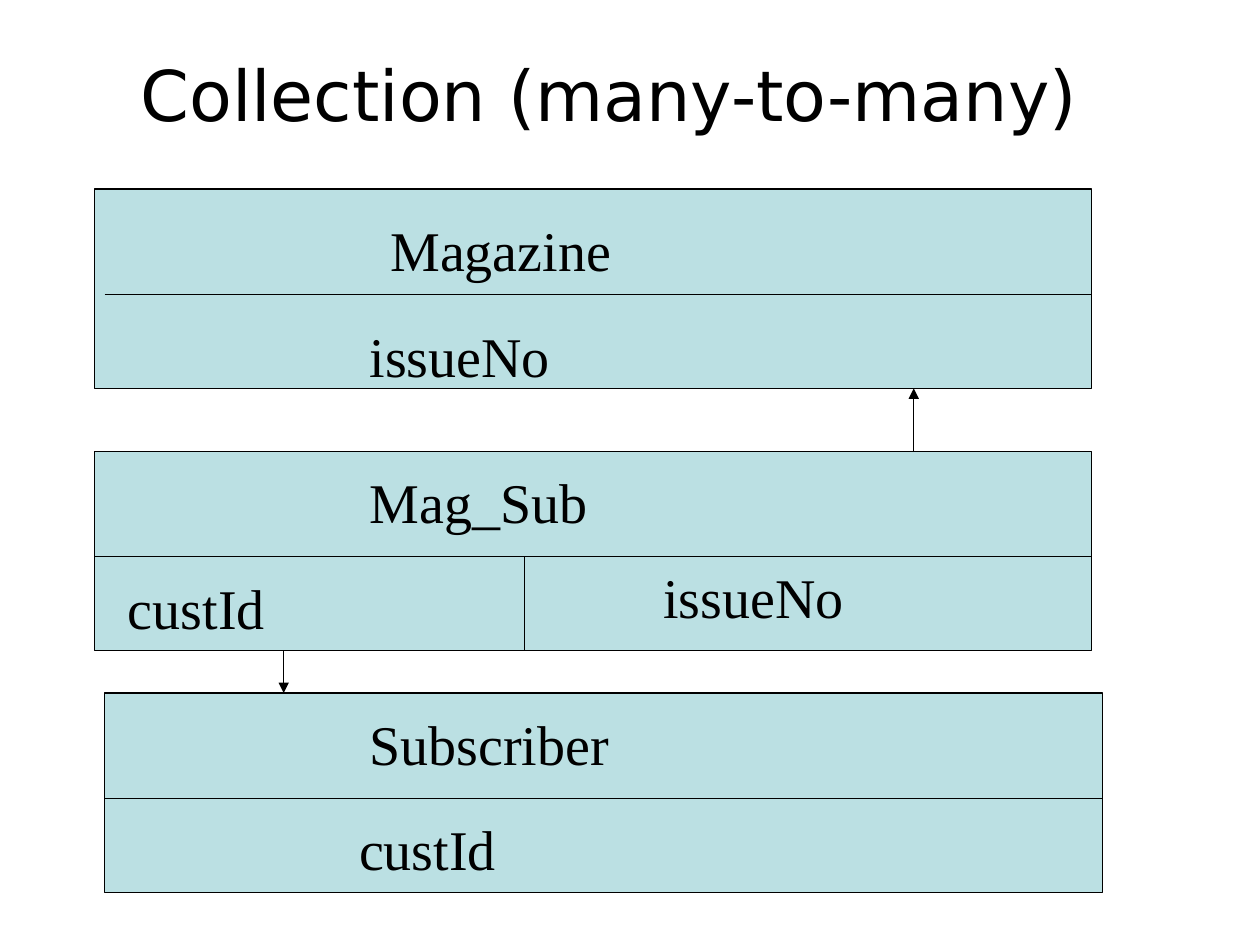
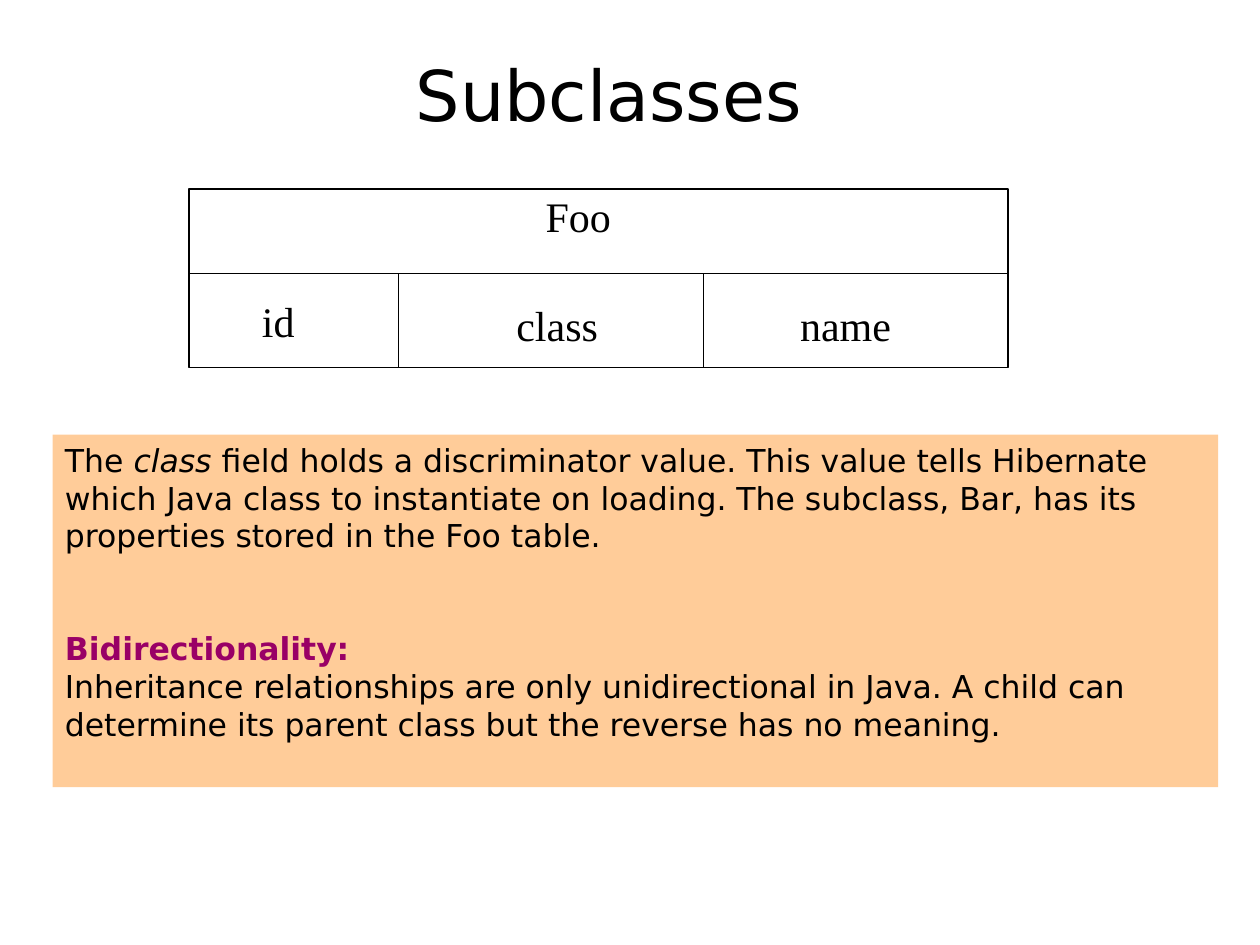
from dataclasses import dataclass

import pptx
import pptx.util
import pptx.dml.color
import pptx.enum.shapes
import pptx.enum.text
import pptx.oxml
import pptx.oxml.ns
from lxml import etree

Cm = pptx.util.Cm
Pt = pptx.util.Pt


def rgb(code):
    return pptx.dml.color.RGBColor.from_string(code)


@dataclass(frozen=True)
class Theme:
    ink: str = "000000"
    entity: str = "BBE0E3"
    note: str = "FFCC99"
    heading: str = "990066"
    sans: str = "DejaVu Sans"
    serif: str = "Times New Roman"
    title_size: int = 40
    entity_size: int = 32
    field_size: int = 24
    note_size: int = 18
    note_gap: int = 43
    rule: float = 0.75


class Deck:
    def __init__(self, theme):
        self.theme = theme
        self.show = pptx.Presentation()
        self.show.slide_width, self.show.slide_height = Cm(25.4), Cm(19.05)
        self.slide = None

    def add_slide(self, title):
        self.slide = self.show.slides.add_slide(self.show.slide_layouts[6])
        heading = self.label(title, 1.48, 0.76, 21.59, 2.26,
                             self.theme.title_size, self.theme.sans)
        heading.vertical_anchor = pptx.enum.text.MSO_ANCHOR.MIDDLE
        heading.paragraphs[0].alignment = pptx.enum.text.PP_ALIGN.CENTER

    def style(self, paragraph, size, face, color=None):
        font = paragraph.font
        font.size, font.name = Pt(size), face
        font.color.rgb = rgb(color or self.theme.ink)

    def label(self, text, left, top, width, height, size, face):
        frame = self.slide.shapes.add_textbox(
            Cm(left), Cm(top), Cm(width), Cm(height)).text_frame
        frame.word_wrap = True
        frame.paragraphs[0].text = text
        self.style(frame.paragraphs[0], size, face)
        return frame

    def box(self, left, top, width, height, fill=None, outlined=True):
        rect = self.slide.shapes.add_shape(
            pptx.enum.shapes.MSO_SHAPE.RECTANGLE,
            Cm(left), Cm(top), Cm(width), Cm(height))
        rect.shadow.inherit = False
        if fill:
            rect.fill.solid()
            rect.fill.fore_color.rgb = rgb(fill)
        else:
            rect.fill.background()
        if outlined:
            rect.line.color.rgb = rgb(self.theme.ink)
            rect.line.width = Pt(self.theme.rule)
        else:
            rect.line.fill.background()
        return rect

    def line(self, x1, y1, x2, y2, arrow=False):
        rule = self.slide.shapes.add_connector(
            pptx.enum.shapes.MSO_CONNECTOR.STRAIGHT,
            Cm(x1), Cm(y1), Cm(x2), Cm(y2))
        rule.line.color.rgb = rgb(self.theme.ink)
        rule.line.width = Pt(self.theme.rule)
        qn = pptx.oxml.ns.qn
        if arrow:
            etree.SubElement(rule.line._get_or_add_ln(), qn("a:tailEnd"), type="triangle")
        etree.SubElement(rule._element.spPr, qn("a:effectLst"))

    def entity(self, left, top, width, height, header, columns=(), fill=None, inset=0):
        self.box(left, top, width, height, fill)
        divider = top + header
        self.line(left + inset, divider, left + width, divider)
        for x in columns:
            self.line(x, divider, x, top + height)

    def note(self, left, top, width, height, paragraphs):
        frame = self.box(left, top, width, height, self.theme.note, outlined=False).text_frame
        frame.word_wrap = True
        frame.vertical_anchor = pptx.enum.text.MSO_ANCHOR.TOP
        for index, (runs, is_heading) in enumerate(paragraphs):
            paragraph = frame.add_paragraph() if index else frame.paragraphs[0]
            paragraph.alignment = pptx.enum.text.PP_ALIGN.LEFT
            for text, italic in runs:
                run = paragraph.add_run()
                run.text = text
                if italic:
                    run.font.italic = True
            self.style(paragraph, self.theme.note_size, self.theme.sans,
                       self.theme.heading if is_heading else self.theme.ink)
            if is_heading:
                paragraph.font.bold = True
                paragraph.space_before = Pt(self.theme.note_gap)


def many_to_many(deck):
    theme = deck.theme
    deck.add_slide("Collection (many-to-many)")
    width, height, header = 20.11, 4.02, 2.12
    magazine_top, mag_sub_top, subscriber_top = 3.81, 9.1, 13.97
    for left, top, columns, inset in (
            (1.9, magazine_top, (), 0.21),
            (1.9, mag_sub_top, (10.58,), 0),
            (2.11, subscriber_top, (), 0)):
        deck.entity(left, top, width, height, header, columns, theme.entity, inset)
    for text, left, top in (
            ("Magazine", 7.62, 4.23), ("issueNo", 7.2, 6.35),
            ("Mag_Sub", 7.2, 9.31), ("custId", 2.33, 11.43),
            ("issueNo", 13.12, 11.22),
            ("Subscriber", 7.2, 14.18), ("custId", 6.99, 16.3)):
        deck.label(text, left, top, 7.83, 1.62, theme.entity_size, theme.serif)
    deck.line(18.42, mag_sub_top, 18.42, magazine_top + height, arrow=True)
    deck.line(5.72, mag_sub_top + height, 5.72, subscriber_top, arrow=True)


def subclasses(deck):
    theme = deck.theme
    deck.add_slide("Subclasses")
    deck.note(1.06, 8.76, 23.5, 7.11, (
        ((("The ", False), ("class", True),
          (" field holds a discriminator value. This value tells Hibernate which Java "
           "class to instantiate on loading. The subclass, Bar, has its properties "
           "stored in the Foo table.", False)), False),
        ((("Bidirectionality:", False),), True),
        ((("Inheritance relationships are only unidirectional in Java. A child can "
           "determine its parent class but the reverse has no meaning.", False),), False)))
    deck.entity(3.81, 3.81, 16.51, 3.6, 1.7, (8.04, 14.18))
    for text, left, top in (("Foo", 10.75, 3.71), ("id", 5.03, 5.84),
                            ("class", 10.16, 5.92), ("name", 15.88, 5.92)):
        deck.label(text, left, top, 2.4, 1.27, theme.field_size, theme.serif)


def main():
    deck = Deck(Theme())
    many_to_many(deck)
    subclasses(deck)
    deck.show.save("out.pptx")


if __name__ == "__main__":
    main()
